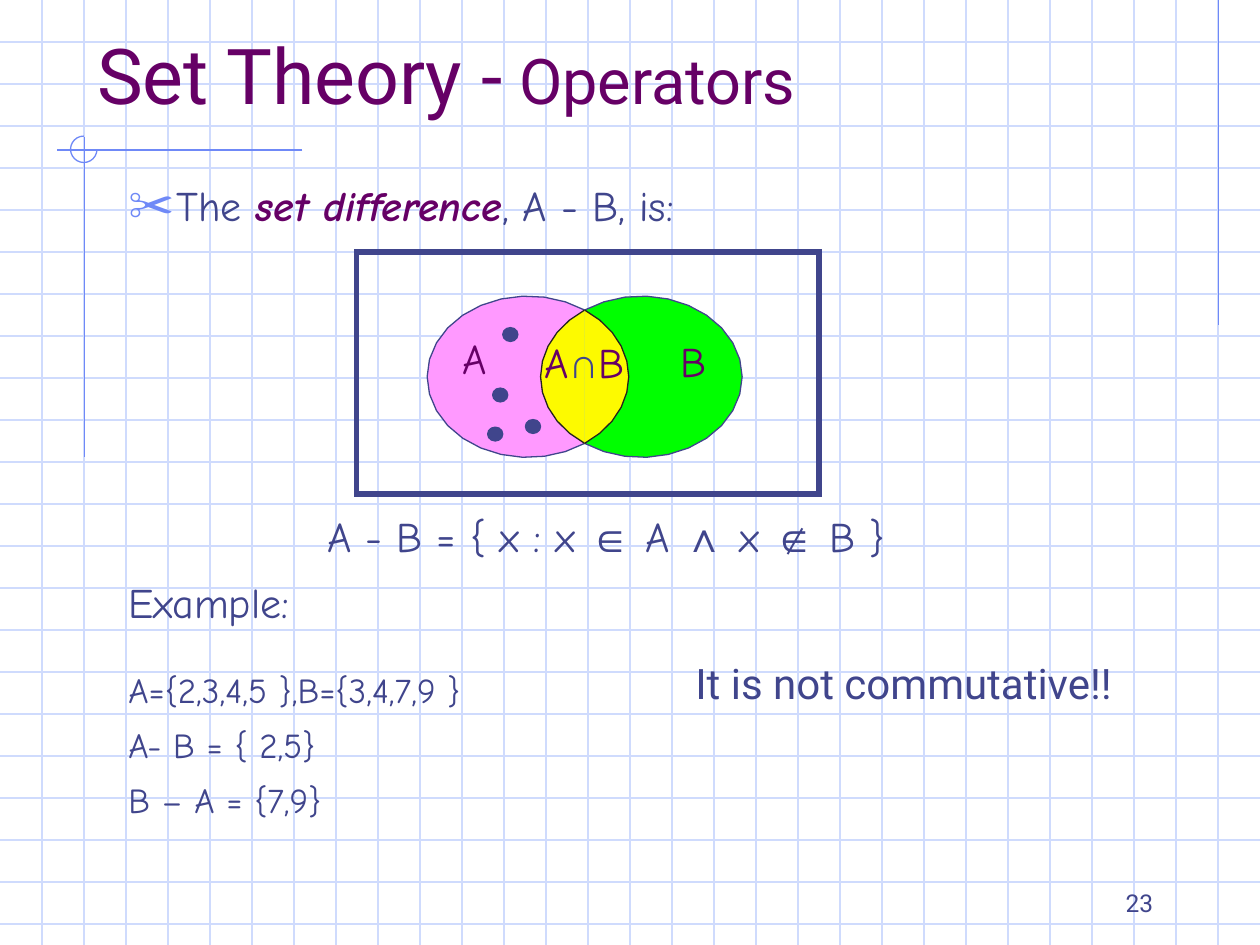
import math

from lxml import etree
from pptx import Presentation
from pptx.dml.color import RGBColor
from pptx.enum import shapes, text
from pptx.oxml import ns
from pptx.util import Inches, Pt

COLORS = {"grid": "CFDBFD", "accent": "6F89F7", "ink": "40458C", "purple": "660066",
          "pink": "FF99FF", "green": "00FF00", "yellow": "FDFA00", "edge": "25221E"}
HAND, SANS, SYMBOL = "Comic Neue", "Roboto", "Arial"

prs = Presentation()
prs.slide_width, prs.slide_height = Inches(10), Inches(7.5)
slide = prs.slides.add_slide(prs.slide_layouts[5])


def rgb(name):
    return RGBColor.from_string(COLORS[name])


def add_runs(paragraph, runs, size):
    """Add (wording, font, colour) runs of one size."""
    for wording, font, color in runs:
        run = paragraph.add_run()
        run.text = wording
        run.font.name = font
        run.font.size = Pt(size)
        run.font.color.rgb = rgb(color)


# Graph paper, with the accent lines at the title corner and right margin
rules = [(0, row / 3, 10, row / 3, "grid") for row in range(1, 23)]
rules += [(col / 3, 0, col / 3, 7.5, "grid") for col in range(1, 30)]
rules += [(9.67, 0, 9.67, 2.58, "accent"),
          (2.4, 1.19, 0.45, 1.19, "accent"),
          (0.67, 1.09, 0.67, 3.63, "accent")]
for x1, y1, x2, y2, color in rules:
    rule = slide.shapes.add_connector(
        shapes.MSO_CONNECTOR.STRAIGHT, Inches(x1), Inches(y1), Inches(x2), Inches(y2))
    rule.line.color.rgb = rgb(color)
    rule.line.width = Pt(0.75)
    etree.SubElement(rule._element.spPr, ns.qn("a:effectLst"))

corner_arc = slide.shapes.add_shape(
    shapes.MSO_SHAPE.ARC, Inches(0.56), Inches(1.08), Inches(0.21), Inches(0.21))
corner_arc.adjustments[0] = 0
corner_arc.adjustments[1] = 162  # 270 degrees
corner_arc.shadow.inherit = False
corner_arc.fill.background()
corner_arc.line.color.rgb = rgb("accent")
corner_arc.line.width = Pt(0.75)

title = slide.shapes.title
title._element.getparent().append(title._element)  # in front of the graph paper
title.left, title.top, title.width, title.height = map(Inches, (0.67, 0.33, 9, 0.67))
title.text_frame.auto_size = text.MSO_AUTO_SIZE.NONE
title.text_frame.vertical_anchor = text.MSO_ANCHOR.BOTTOM
heading = title.text_frame.paragraphs[0]
heading.alignment = text.PP_ALIGN.LEFT
add_runs(heading, [("Set Theory -", SANS, "purple")], 44)
add_runs(heading, [(" Operators", SANS, "purple")], 36)

# Definition above the diagram and worked example below it
body = slide.shapes.add_textbox(Inches(0.92), Inches(1.42), Inches(8.5), Inches(5.42))
body.text_frame.word_wrap = True
body_lines = [  # runs, size, space before, space after
    ([("The ", HAND, "ink"), ("set difference", HAND, "purple"),
      (", A - B, is:", HAND, "ink")], 24, 0, 0),
    ([("Example:", HAND, "ink")], 24, 201, 0),
    ([("A={2,3,4,5 },B={3,4,7,9 }", HAND, "ink")], 20, 26, 10),
    ([("A- B = { 2,5}", HAND, "ink")], 20, 0, 10),
    ([("B – A = {7,9}", HAND, "ink")], 20, 0, 10),
]
for index, (runs, size, before, after) in enumerate(body_lines):
    line = body.text_frame.paragraphs[0] if index == 0 else body.text_frame.add_paragraph()
    line.line_spacing = 0.9
    line.space_before, line.space_after = Pt(before), Pt(after)
    add_runs(line, runs, size)

definition = body.text_frame.paragraphs[0]
indent = definition._p.get_or_add_pPr()
indent.set("marL", str(Inches(0.38)))
indent.set("indent", str(-Inches(0.38)))
bullet_color = etree.SubElement(indent, ns.qn("a:buClr"))
etree.SubElement(bullet_color, ns.qn("a:srgbClr"), val=COLORS["accent"])
etree.SubElement(indent, ns.qn("a:buSzPct"), val="110000")
etree.SubElement(indent, ns.qn("a:buFont"), typeface=SYMBOL)
etree.SubElement(indent, ns.qn("a:buChar"), char="✂")
term = definition.runs[1]
term.font.bold = term.font.italic = True

# Venn diagram: two equal ellipses that meet on a vertical chord
RX, RY, CENTER_Y = 0.8, 0.64, 2.99
A_X, B_X = 4.19, 5.09
meet = round(math.degrees(math.acos((B_X - A_X) / 2 / RX)), 2)
regions = [  # fill, edge, centre, start angle, end angle, steps
    ("pink", "ink", A_X, meet, 360 - meet, 20),
    ("green", "ink", B_X, meet - 180, 180 - meet, 20),
    ("yellow", "edge", B_X, 180 - meet, 180 + meet, 10),
    ("yellow", "edge", A_X, -meet, meet, 10),
]
for fill, edge, center_x, start, end, steps in regions:
    angles = [math.radians(start + (end - start) * step / steps) for step in range(steps + 1)]
    points = [(Inches(center_x + RX * math.cos(angle)),
               Inches(CENTER_Y + RY * math.sin(angle))) for angle in angles]
    builder = slide.shapes.build_freeform(*points[0])
    builder.add_line_segments(points[1:], close=False)  # the chord has no outline
    region = builder.convert_to_shape()
    region.shadow.inherit = False
    region.fill.solid()
    region.fill.fore_color.rgb = rgb(fill)
    region.line.color.rgb = rgb(edge)
    region.line.width = Pt(0)

universe = slide.shapes.add_shape(
    shapes.MSO_SHAPE.RECTANGLE, Inches(2.83), Inches(2), Inches(3.67), Inches(1.92))
universe.shadow.inherit = False
universe.fill.background()
universe.line.color.rgb = rgb("ink")
universe.line.width = Pt(3)
etree.SubElement(universe.line._get_or_add_ln(), ns.qn("a:miter"), lim="800000")

for x, y in [(4.17, 3.33), (3.91, 3.08), (3.99, 2.6), (3.87, 3.39)]:
    member = slide.shapes.add_shape(
        shapes.MSO_SHAPE.OVAL, Inches(x), Inches(y), Inches(0.12), Inches(0.11))
    member.shadow.inherit = False
    member.fill.solid()
    member.fill.fore_color.rgb = member.line.color.rgb = rgb("ink")
    member.line.width = Pt(0.75)

# Region labels, formula, remark and page number
LEFT, CENTER, RIGHT = text.PP_ALIGN.LEFT, text.PP_ALIGN.CENTER, text.PP_ALIGN.RIGHT
TOP, BOTTOM = text.MSO_ANCHOR.TOP, text.MSO_ANCHOR.BOTTOM
captions = [  # box, wrap, anchor, alignment, size, runs
    ((3.57, 2.59, 0.39, 0.5), False, BOTTOM, CENTER, 24, [("A", HAND, "purple")]),
    ((5.28, 2.61, 0.45, 0.5), True, BOTTOM, CENTER, 24, [("B", HAND, "purple")]),
    ((4.21, 2.62, 0.86, 0.5), False, BOTTOM, CENTER, 24,
     [("A", HAND, "purple"), ("∩", SYMBOL, "ink"), ("B", HAND, "purple")]),
    ((2.5, 4, 5.5, 0.67), True, TOP, LEFT, 24,
     [("A - B = { x : x ", HAND, "ink"), ("∈", SYMBOL, "ink"), (" A ", HAND, "ink"),
      ("∧", SYMBOL, "ink"), (" x ", HAND, "ink"), ("∉", SYMBOL, "ink"),
      (" B }", HAND, "ink")]),
    ((5.42, 5.17, 3.92, 0.5), True, TOP, LEFT, 24,
     [("It is not commutative!!", SANS, "ink")]),
    ((7.17, 7.08, 2.08, 0.25), True, BOTTOM, RIGHT, 14, [("23", SANS, "ink")]),
]
for box, wrap, anchor, alignment, size, runs in captions:
    caption = slide.shapes.add_textbox(*map(Inches, box)).text_frame
    caption.word_wrap = wrap
    caption.vertical_anchor = anchor
    caption.paragraphs[0].alignment = alignment
    add_runs(caption.paragraphs[0], runs, size)

prs.save("out.pptx")
